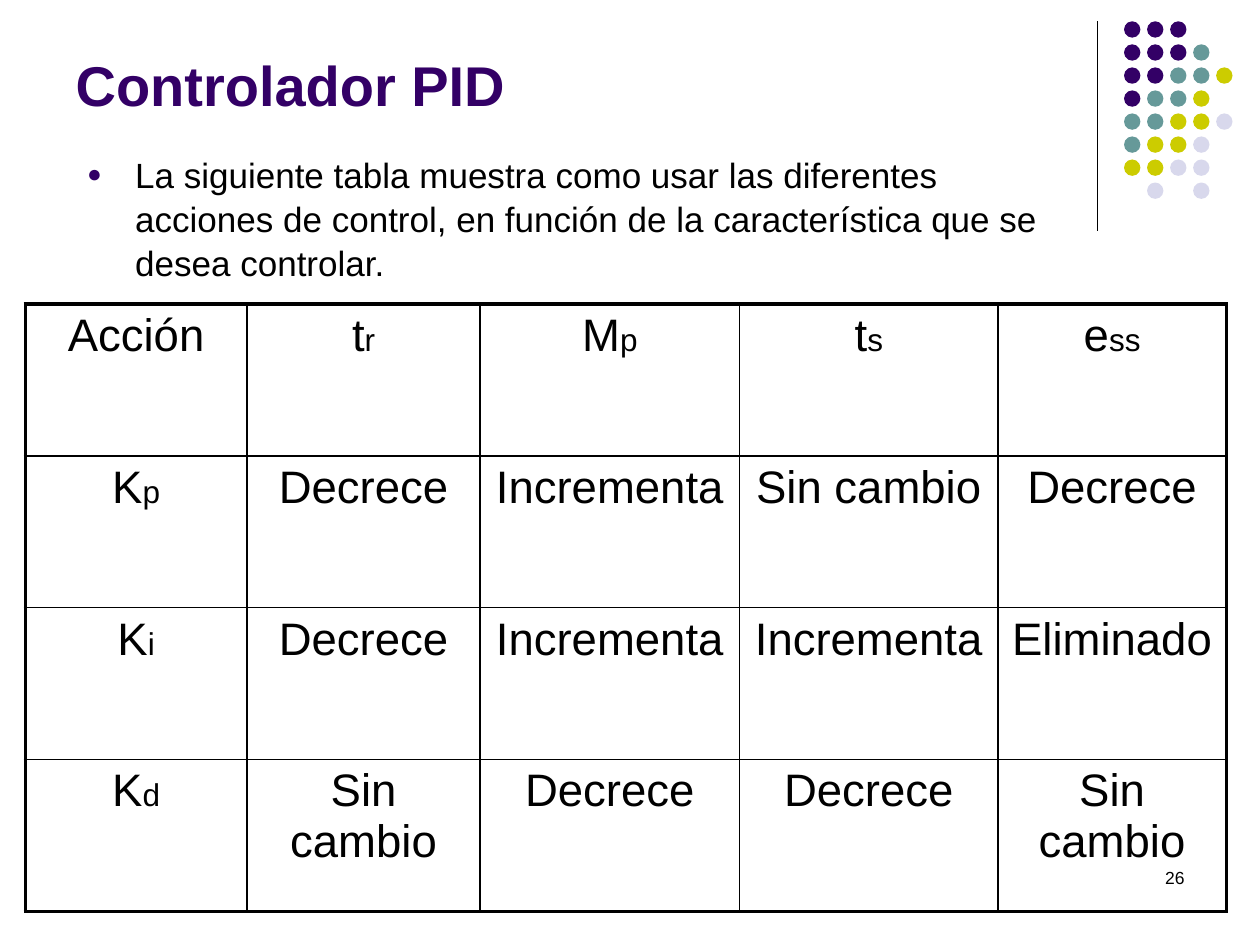
from dataclasses import dataclass

import pptx
import pptx.dml.color
import pptx.enum.shapes
import pptx.enum.text
import pptx.oxml
import pptx.oxml.ns
import pptx.oxml.xmlchemy
import pptx.util

Cm = pptx.util.Cm
Align = pptx.enum.text.PP_ALIGN
Anchor = pptx.enum.text.MSO_ANCHOR


@dataclass(frozen=True)
class Theme:
    font: str = "Arial"
    ink: str = "000000"
    purple: str = "330066"
    teal: str = "669999"
    olive: str = "CCCC00"
    lavender: str = "D8D8EC"
    title_size: float = 32
    body_size: float = 20
    cell_size: float = 26
    subscript_size: float = 18
    number_size: float = 10
    thin: float = 1
    thick: float = 2.25
    rule: float = 0.75


@dataclass(frozen=True)
class Box:
    left: float
    top: float
    width: float
    height: float

    def lengths(self) -> tuple:
        return tuple(Cm(v) for v in (self.left, self.top, self.width, self.height))


@dataclass(frozen=True)
class Entry:
    text: str
    subscript: str = ""


THEME = Theme()
TITLE_BOX = Box(1.27, 0.33, 20.96, 2.18)
BODY_BOX = Box(1.5, 2.92, 20.4, 2.79)
NUMBER_BOX = Box(18.21, 17.35, 5.92, 1.27)
TABLE_BOX = Box(0.51, 6.13, 24.21, 12.24)
COLUMN_WIDTHS = (4.47, 4.7, 5.23, 5.21, 4.6)

# One letter per dot; a space leaves its place in the grid empty
DOT_ROWS = ("PPP", "PPPT", "PPTTO", "PTTO", "TTOOL", "TOOL", "OOLL", " L L")
DOT_COLORS = {"P": THEME.purple, "T": THEME.teal, "O": THEME.olive, "L": THEME.lavender}

ENTRIES = (
    (Entry("Acción"), Entry("t", "r"), Entry("M", "p"), Entry("t", "s"), Entry("e", "ss")),
    (Entry("K", "p"), Entry("Decrece"), Entry("Incrementa"), Entry("Sin cambio"), Entry("Decrece")),
    (Entry("K", "i"), Entry("Decrece"), Entry("Incrementa"), Entry("Incrementa"), Entry("Eliminado")),
    (Entry("K", "d"), Entry("Sin cambio"), Entry("Decrece"), Entry("Decrece"), Entry("Sin cambio")),
)


def rgb(value: str) -> pptx.dml.color.RGBColor:
    return pptx.dml.color.RGBColor.from_string(value)


def add_text(para, text: str, *, size: float, color: str = THEME.ink,
             bold: bool = False, align=Align.LEFT) -> None:
    para.alignment = align
    span = para.add_run()
    span.text = text
    span.font.name = THEME.font
    span.font.size = pptx.util.Pt(size)
    span.font.bold = bold
    span.font.color.rgb = rgb(color)


def place(shape, box: Box, anchor=Anchor.TOP):
    """Move a text shape into its box and return its first paragraph."""
    shape.left, shape.top, shape.width, shape.height = box.lengths()
    frame = shape.text_frame
    frame.word_wrap = True
    frame.auto_size = pptx.enum.text.MSO_AUTO_SIZE.NONE
    frame.vertical_anchor = anchor
    return frame.paragraphs[0]


def add_xml(parent, content: str) -> None:
    namespace = pptx.oxml.ns.nsdecls("a")
    wrapper = pptx.oxml.parse_xml(f"<a:wrapper {namespace}>{content}</a:wrapper>")
    for element in list(wrapper):
        parent.append(element)


def set_bullet(para) -> None:
    properties = para._p.get_or_add_pPr()
    properties.set("marL", str(Cm(0.97)))
    properties.set("indent", str(-Cm(0.97)))
    add_xml(properties,
            f'<a:buClr><a:srgbClr val="{THEME.purple}"/></a:buClr><a:buSzPct val="70000"/>'
            f'<a:buFont typeface="{THEME.font}"/><a:buChar char="●"/>')


def set_borders(cell, widths: dict[str, float]) -> None:
    for side, width in widths.items():
        add_xml(cell._tc.get_or_add_tcPr(),
                f'<a:ln{side} w="{pptx.util.Pt(width)}"><a:solidFill>'
                f'<a:srgbClr val="{THEME.ink}"/></a:solidFill></a:ln{side}>')


def draw_ornament(page) -> None:
    line = page.shapes.add_connector(pptx.enum.shapes.MSO_CONNECTOR.STRAIGHT,
                                     Cm(22.12), Cm(0.43), Cm(22.12), Cm(4.65))
    line.line.color.rgb = rgb(THEME.ink)
    line.line.width = pptx.util.Pt(THEME.rule)
    add_xml(line._element.spPr, "<a:effectLst/>")

    pitch = Cm(3.25) // (len(DOT_ROWS) - 1)
    for row, letters in enumerate(DOT_ROWS):
        for column, letter in enumerate(letters):
            if letter == " ":
                continue
            dot = page.shapes.add_shape(
                pptx.enum.shapes.MSO_SHAPE.OVAL, Cm(22.66) + column * pitch,
                Cm(0.43) + row * pitch, Cm(0.33), Cm(0.33))
            dot.shadow.inherit = False
            dot.fill.solid()
            dot.fill.fore_color.rgb = rgb(DOT_COLORS[letter])
            dot.line.fill.background()


def draw_table(page) -> None:
    last_row, last_column = len(ENTRIES) - 1, len(COLUMN_WIDTHS) - 1
    table = page.shapes.add_table(last_row + 1, last_column + 1, *TABLE_BOX.lengths()).table
    table.first_row = table.horz_banding = False
    for column, width in zip(table.columns, COLUMN_WIDTHS):
        column.width = Cm(width)

    for r, entries in enumerate(ENTRIES):
        for c, entry in enumerate(entries):
            cell = table.cell(r, c)
            para = cell.text_frame.paragraphs[0]
            add_text(para, entry.text, size=THEME.cell_size, align=Align.CENTER)
            if entry.subscript:
                add_text(para, entry.subscript, size=THEME.subscript_size, align=Align.CENTER)
            outer = {"L": c == 0, "R": c == last_column, "T": r == 0, "B": r == last_row}
            set_borders(cell, {side: THEME.thick if edge else THEME.thin
                               for side, edge in outer.items()})
            cell.fill.background()


def main() -> None:
    deck = pptx.Presentation()
    deck.slide_width, deck.slide_height = Cm(25.4), Cm(19.05)
    page = deck.slides.add_slide(deck.slide_layouts[1])

    draw_ornament(page)

    # Page number
    number = page.shapes.add_textbox(*NUMBER_BOX.lengths())
    add_text(place(number, NUMBER_BOX), "26", size=THEME.number_size, align=Align.RIGHT)

    # Title and introduction
    add_text(place(page.shapes.title, TITLE_BOX, Anchor.BOTTOM), "Controlador PID",
             size=THEME.title_size, color=THEME.purple, bold=True)
    intro = place(page.placeholders[1], BODY_BOX)
    intro.line_spacing = 1.05
    set_bullet(intro)
    add_text(intro, "La siguiente tabla muestra como usar las diferentes acciones de control, "
             "en función de la característica que se desea controlar.", size=THEME.body_size)

    draw_table(page)
    deck.save("out.pptx")


if __name__ == "__main__":
    main()
